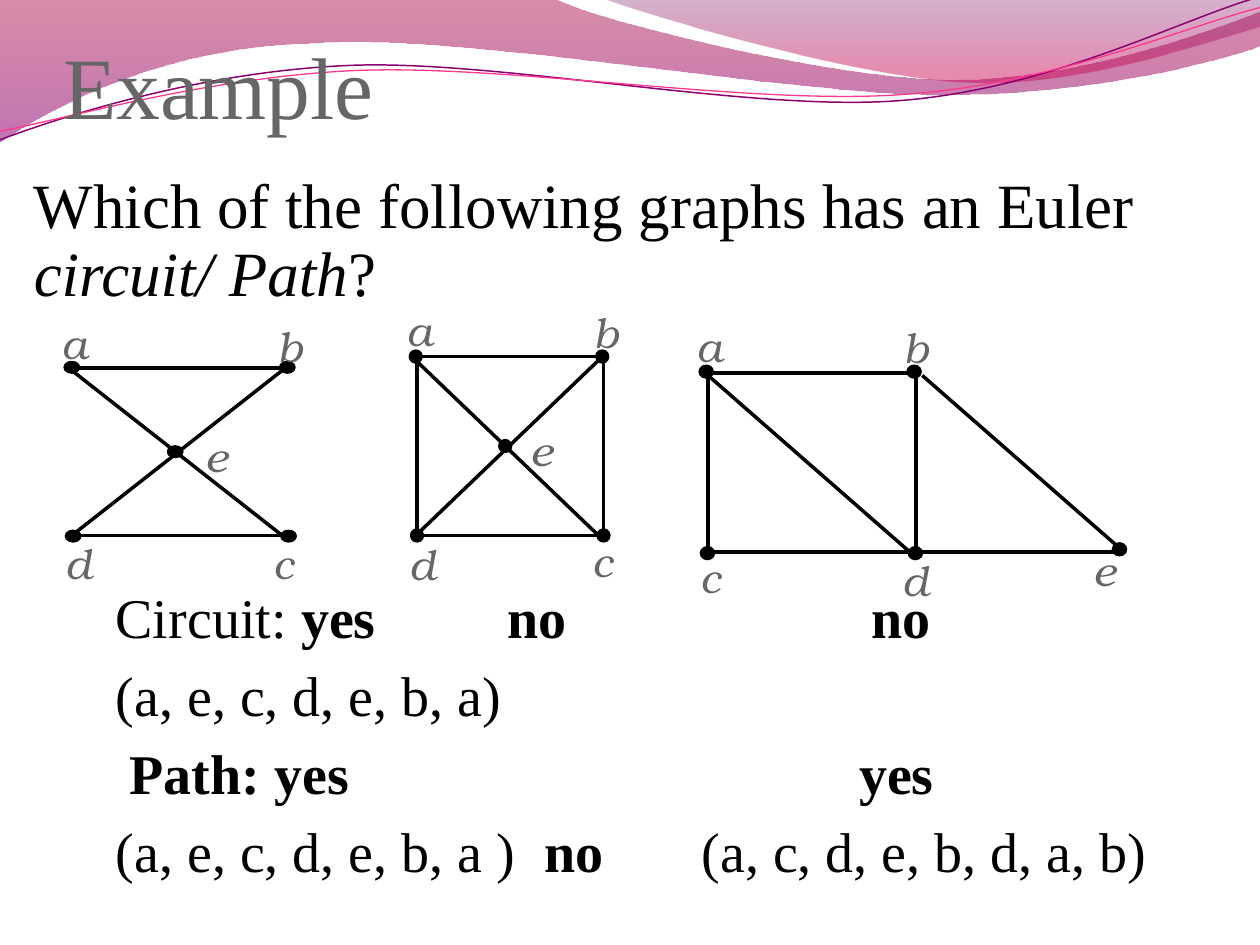
import pptx
import pptx.dml.color
import pptx.enum.shapes
import pptx.enum.text
import pptx.oxml
import pptx.oxml.ns
import pptx.util

SERIF, LABEL_FONT = "Times New Roman", "TeX Gyre Bonum"
COLOURS = {"ink": "000000", "grey": "666666", "rose": "A90042", "purple": "8E0073",
           "plum": "73005E", "crimson": "C9004F", "violet": "8A0070", "pink": "FF388C"}

# Outlines start at the first point; one point is a straight step, three are a Bézier curve.
BANDS = [
    {"start": (0, 0), "steps": [
        [(4.4, -0.01)], [(4.76, 0.17), (6.64, 0.63), (7.58, 0.63)],
        [(8.53, 0.63), (9.58, 0.26), (10, 0.09)], [(10.01, 0.36)],
        [(9.83, 0.44), (8.7, 0.76), (7.46, 0.75)], [(6.22, 0.75), (3.82, 0.28), (2.57, 0.34)],
        [(1.29, 0.36), (0.46, 0.83), (-0.01, 1.13)]],
     "stops": [(0, "rose", 45), (1, "purple", 55)]},
    {"start": (4.79, -0.01), "steps": [
        [(5.09, 0.11), (6.82, 0.62), (7.69, 0.65)],
        [(8.56, 0.69), (9.61, 0.32), (10, 0.21)], [(10, 0)]],
     "stops": [(0, "plum", 30), (0.8, "crimson", 45)]},
]
WAVES = [
    {"start": (0, 1.11), "colour": "violet", "width": 0.85, "steps": [
        [(0.48, 0.93), (1.58, 0.57), (2.77, 0.52)], [(3.95, 0.47), (5.93, 0.89), (7.13, 0.8)],
        [(8.33, 0.71), (9.38, 0.15), (9.98, -0.02)]]},
    {"start": (0, 1.04), "colour": "pink", "width": 0.75, "steps": [
        [(0.47, 0.96), (1.64, 0.61), (2.83, 0.56)], [(4.03, 0.51), (5.97, 0.84), (7.17, 0.75)],
        [(8.36, 0.67), (9.41, 0.21), (10, 0.06)]]},
]

# Nodes: letter, corner of the dot, corner of the letter. Edges: x1, y1, x2, y2.
GRAPHS = [
    {"dot": (0.12, 0.09), "label": (0.34, 0.33),
     "nodes": [("a", 0.51, 2.87, 0.49, 2.52), ("b", 2.22, 2.87, 2.2, 2.54),
               ("c", 2.23, 4.21, 2.17, 4.27), ("d", 0.52, 4.21, 0.52, 4.27),
               ("e", 1.33, 3.54, 1.63, 3.42)],
     "edges": [(0.62, 2.92, 2.32, 2.92), (2.24, 2.94, 0.57, 4.25),
               (0.59, 4.25, 2.28, 4.25), (0.57, 2.94, 2.24, 4.25)]},
    {"dot": (0.1, 0.1), "label": (0.29, 0.35),
     "nodes": [("a", 3.25, 2.78, 3.23, 2.42), ("b", 4.73, 2.78, 4.71, 2.43),
               ("c", 4.74, 4.2, 4.7, 4.25), ("d", 3.26, 4.2, 3.25, 4.27),
               ("e", 3.96, 3.49, 4.21, 3.37)],
     "edges": [(3.31, 2.84, 3.31, 4.26), (4.79, 2.84, 4.79, 4.26),
               (3.35, 2.83, 4.81, 2.83), (4.75, 2.86, 3.3, 4.25),
               (3.32, 4.25, 4.78, 4.25), (3.3, 2.86, 4.75, 4.25)]},
    {"dot": (0.11, 0.1), "label": (0.32, 0.35),
     "nodes": [("a", 5.55, 2.9, 5.53, 2.54), ("b", 7.2, 2.9, 7.17, 2.55),
               ("c", 5.56, 4.34, 5.56, 4.38), ("d", 7.21, 4.34, 7.16, 4.4),
               ("e", 8.83, 4.31, 8.68, 4.32)],
     "edges": [(5.62, 2.97, 5.62, 4.39), (7.27, 2.97, 7.27, 4.39),
               (5.66, 2.96, 7.29, 2.96), (5.63, 4.38, 7.26, 4.38),
               (5.62, 2.98, 7.22, 4.38), (7.32, 2.98, 8.92, 4.38),
               (7.29, 4.38, 8.92, 4.38)]},
]

# A paragraph is a list of (text, style) runs.
TITLE = [[("Example", "")]]
QUESTION = [[("Which of the following graphs has an Euler ", ""), ("circuit/ Path", "italic"),
             ("?", "")]]
ANSWERS = [
    [("Circuit: ", ""), ("yes\tno\tno", "bold")],
    [("(a, e, c, d, e, b, a)", "")],
    [(" Path: yes\tyes", "bold")],
    [("(a, e, c, d, e, b, a )", ""), ("\tno\t", "bold"), ("(a, c, d, e, b, d, a, b)", "")],
]
ANSWER_TABS = [(3.11, 6), (), (5.9,), (3.4, 4.65)]


def inches(*values):
    return [pptx.util.Inches(value) for value in values]


def rgb(name):
    return pptx.dml.color.RGBColor.from_string(COLOURS[name])


def add_xml(parent, tag, **attributes):
    child = pptx.oxml.parse_xml(f"<a:{tag} {pptx.oxml.ns.nsdecls('a')}/>")
    for name, value in attributes.items():
        child.set(name, str(value))
    parent.append(child)
    return child


def write_text(shape, paragraphs, size, colour="ink", font=SERIF, italic=False,
               margins=(0.1, 0.05, 0.1, 0.05), anchor="TOP", first_gap=0, gap=0,
               line_spacing=None, tabs=()):
    frame = shape.text_frame
    frame.word_wrap = True
    frame.auto_size = pptx.enum.text.MSO_AUTO_SIZE.NONE
    frame.vertical_anchor = pptx.enum.text.MSO_ANCHOR[anchor]
    (frame.margin_left, frame.margin_top,
     frame.margin_right, frame.margin_bottom) = inches(*margins)
    for index, runs in enumerate(paragraphs):
        paragraph = frame.add_paragraph() if index else frame.paragraphs[0]
        paragraph.alignment = pptx.enum.text.PP_ALIGN.LEFT
        paragraph.space_before = pptx.util.Pt(gap if index else first_gap)
        if line_spacing:
            paragraph.line_spacing = line_spacing
        if tabs and tabs[index]:
            tab_list = add_xml(paragraph._p.get_or_add_pPr(), "tabLst")
            for position in tabs[index]:
                add_xml(tab_list, "tab", pos=pptx.util.Inches(position), algn="l")
        for text, style in runs:
            run = paragraph.add_run()
            run.text = text
            run.font.name, run.font.size = font, pptx.util.Pt(size)
            run.font.color.rgb = rgb(colour)
            run.font.bold = style == "bold"
            run.font.italic = italic or style == "italic"


def add_outline(slide, start, steps, close):
    """Build a freeform through all points, then join each three-point step into a curve."""
    points = [inches(*point) for step in steps for point in step]
    builder = slide.shapes.build_freeform(*inches(*start), scale=1.0)
    builder.add_line_segments(points, close=close)
    shape = builder.convert_to_shape()
    shape.shadow.inherit = False
    segments = iter(list(shape.element.iter(pptx.oxml.ns.qn("a:lnTo"))))
    for step in steps:
        lines = [next(segments) for _ in step]
        if len(lines) == 3:
            outline = lines[0].getparent()
            curve = add_xml(outline, "cubicBezTo")
            lines[0].addprevious(curve)
            for line in lines:
                curve.append(line[0])
                outline.remove(line)
    return shape


def add_band(slide, band):
    shape = add_outline(slide, band["start"], band["steps"], True)
    shape.line.fill.background()
    shape.fill.gradient()
    shape.fill.gradient_angle = 270
    elements = shape.element.iter(pptx.oxml.ns.qn("a:gs"))
    for stop, element, values in zip(shape.fill.gradient_stops, elements, band["stops"]):
        stop.position, colour, opacity = values
        stop.color.rgb = rgb(colour)
        add_xml(element[0], "alpha", val=opacity * 1000)


def add_wave(slide, wave):
    shape = add_outline(slide, wave["start"], wave["steps"], False)
    shape.fill.background()
    shape.line.color.rgb = rgb(wave["colour"])
    shape.line.width = pptx.util.Pt(wave["width"])


def add_graph(slide, graph):
    shapes = slide.shapes.add_group_shape().shapes
    for ends in graph["edges"]:
        edge = shapes.add_connector(pptx.enum.shapes.MSO_CONNECTOR.STRAIGHT, *inches(*ends))
        edge.line.color.rgb, edge.line.width = rgb("ink"), pptx.util.Pt(2)
        add_xml(edge.element.spPr, "effectLst")
    for letter, x, y, label_x, label_y in graph["nodes"]:
        dot = shapes.add_shape(pptx.enum.shapes.MSO_SHAPE.OVAL, *inches(x, y, *graph["dot"]))
        dot.shadow.inherit = False
        dot.fill.solid()
        dot.fill.fore_color.rgb = dot.line.color.rgb = rgb("ink")
        dot.line.width = pptx.util.Pt(1)
        label = shapes.add_textbox(*inches(label_x, label_y, *graph["label"]))
        write_text(label, [[(letter, "")]], 24, colour="grey", font=LABEL_FONT,
                   italic=True, margins=(0, 0, 0, 0))


def main():
    presentation = pptx.Presentation()
    presentation.slide_width, presentation.slide_height = inches(10, 7.5)
    slide = presentation.slides.add_slide(presentation.slide_layouts.get_by_name("Title Only"))
    for band in BANDS:
        add_band(slide, band)
    for wave in WAVES:
        add_wave(slide, wave)

    title = slide.shapes.title
    title.left, title.top, title.width, title.height = inches(0.5, 0.17, 9, 0.92)
    write_text(title, TITLE, 50, colour="grey", margins=(0, 0.05, 0, 0), anchor="BOTTOM")
    slide.shapes.element.append(title.element)  # in front of the bands

    question = slide.shapes.add_textbox(*inches(0.17, 1.33, 9, 1.19))
    write_text(question, QUESTION, 36, first_gap=3, line_spacing=0.9)
    for graph in GRAPHS:
        add_graph(slide, graph)
    answers = slide.shapes.add_textbox(*inches(0.82, 4.57, 8.66, 2.58))
    write_text(answers, ANSWERS, 32, first_gap=2.4, gap=6.2, tabs=ANSWER_TABS)
    presentation.save("out.pptx")


if __name__ == "__main__":
    main()
